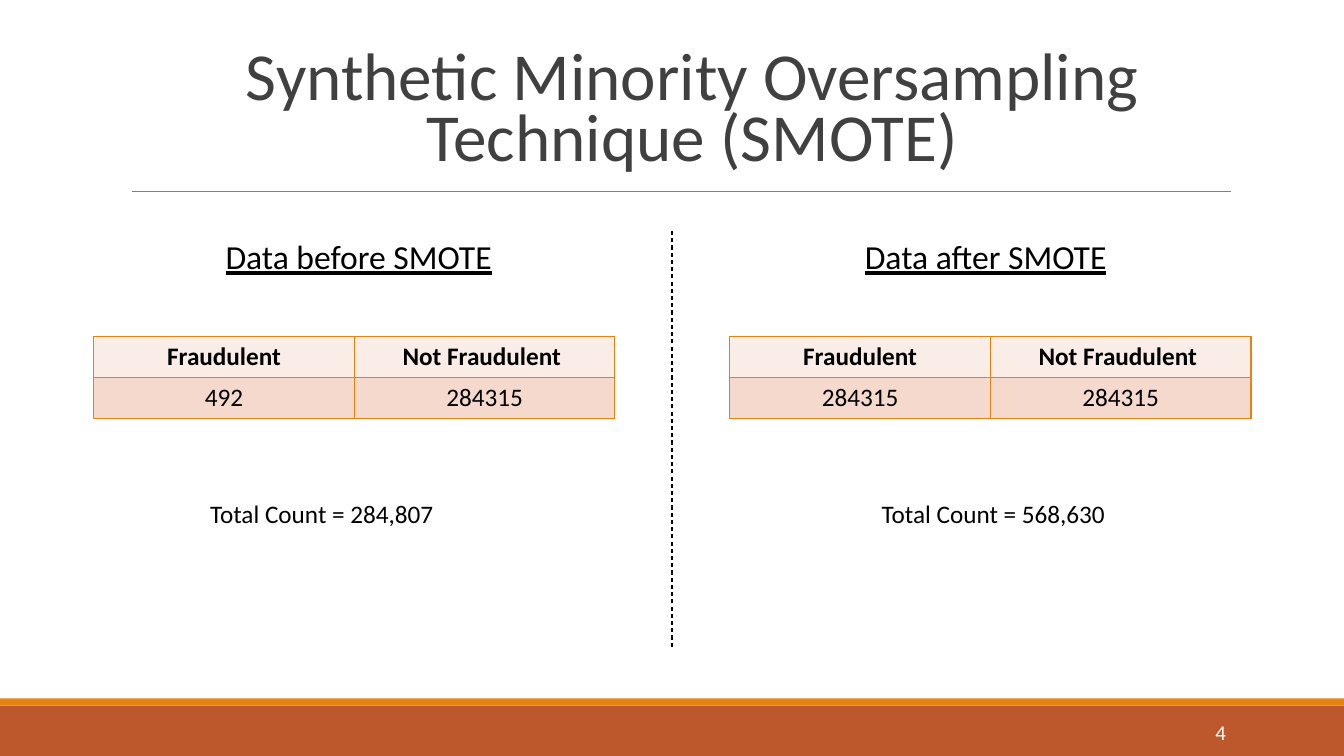
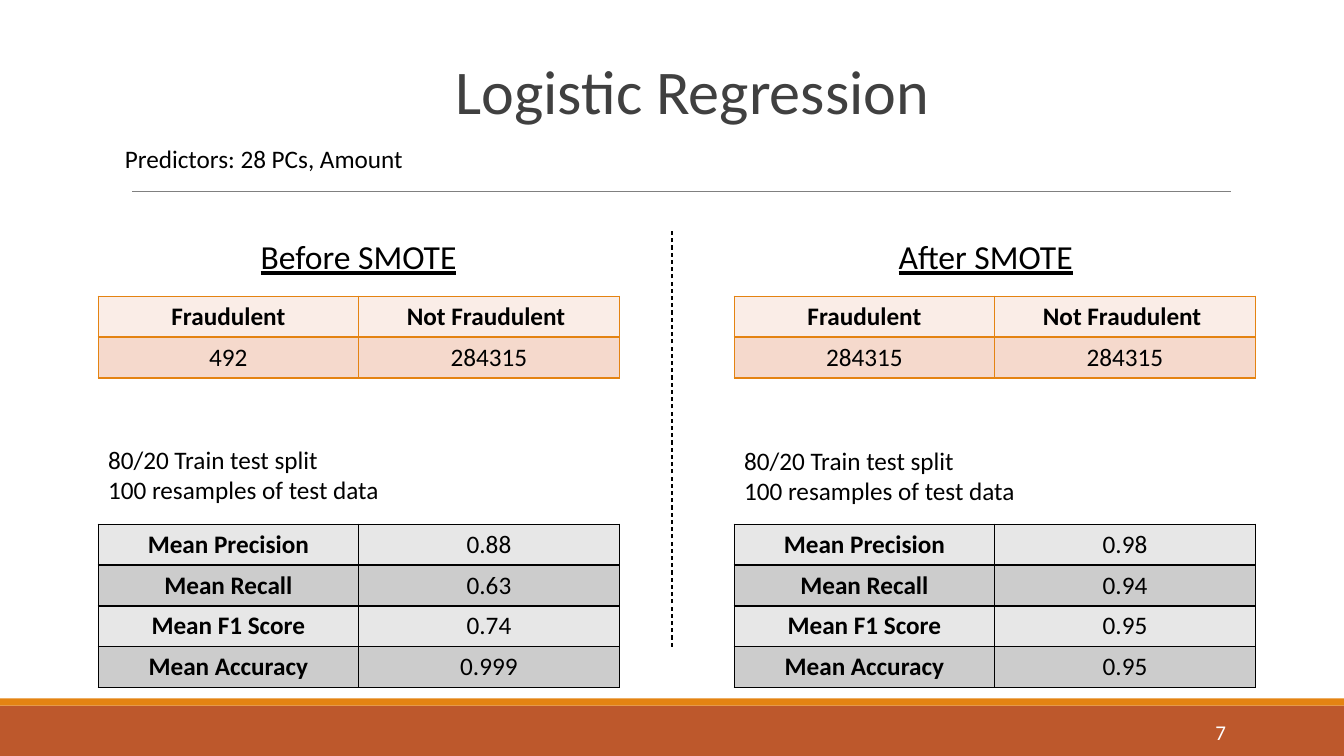
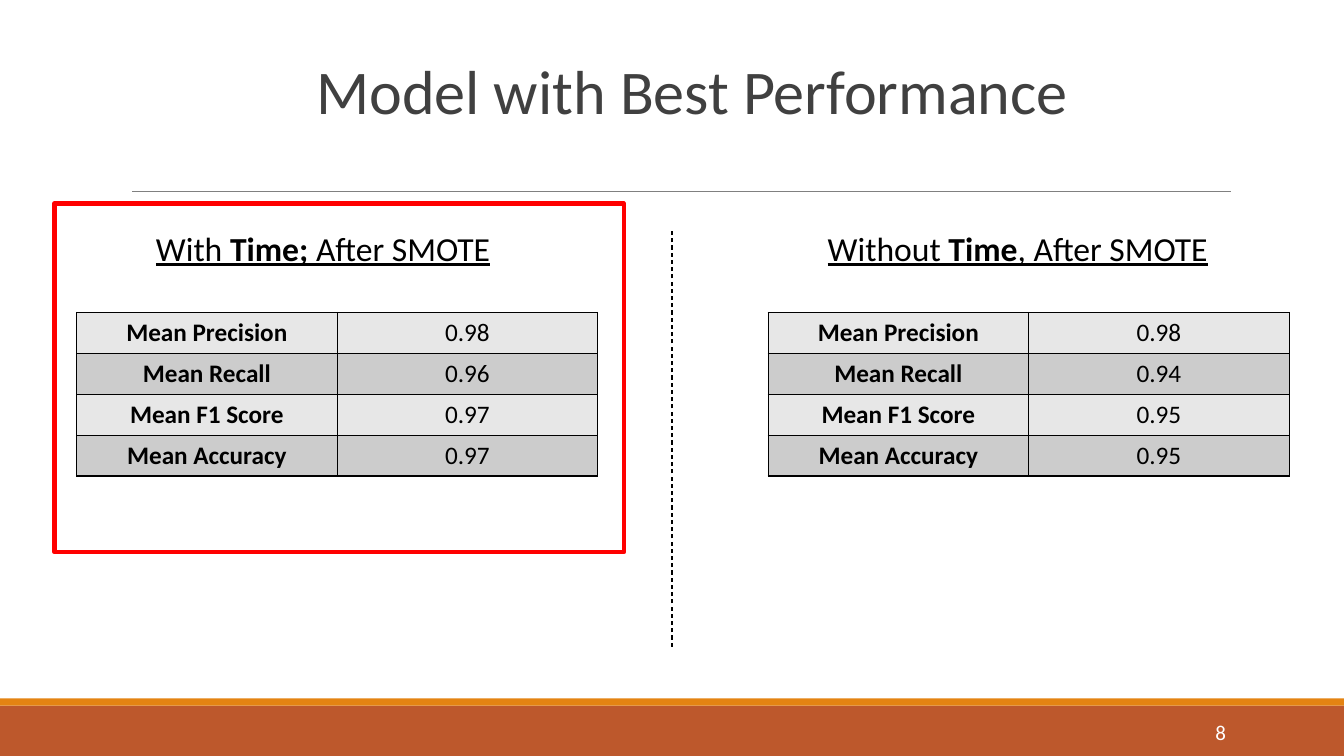
from lxml.etree import SubElement as Sub
from pptx import Presentation
from pptx.dml.color import RGBColor as Rgb
from pptx.enum.dml import MSO_LINE as Dash
from pptx.enum.shapes import MSO_CONNECTOR as Link, MSO_SHAPE as Form
from pptx.enum.text import MSO_ANCHOR as Anchor, MSO_AUTO_SIZE as Fit, PP_ALIGN as Align
from pptx.oxml.ns import qn
from pptx.util import Inches, Pt

COLS, ROWS = 160, 90
FONT = "Calibri"
HUES = {
    "rust": "BD582C", "amber": "E48312", "rule": "808080", "title": "404040",
    "black": "000000", "white": "FFFFFF", "red": "FF0000",
    "blush": "FAEDE7", "peach": "F5D9CC", "light": "E7E7E7", "gray": "CCCCCC",
}
GAP = 75.72
CELL_W, CELL_H = 31.02, 4.86
NAMES = ["Mean Precision", "Mean Recall", "Mean F1 Score", "Mean Accuracy"]


def hue(name):
    return Rgb.from_string(HUES[name])


def put(frame, text, size=18, color="black", bold=False, under=False,
        align=Align.LEFT, anchor=Anchor.TOP, space=None):
    frame.word_wrap = True
    frame.auto_size = Fit.NONE
    frame.vertical_anchor = anchor
    write(frame, text, size, color, bold, under, align, space)


def write(frame, text, size=18, color="black", bold=False, under=False,
          align=Align.LEFT, space=None):
    for row, line in enumerate(text.split("\n")):
        para = frame.add_paragraph() if row else frame.paragraphs[0]
        para.alignment = align
        para.line_spacing = space
        for part, piece in enumerate(line.split("*")):
            run = para.add_run()
            run.text = piece
            font = run.font
            font.name, font.size = FONT, Pt(size)
            font.bold = bold or part % 2 == 1
            font.underline = under
            font.color.rgb = hue(color)


class Deck:
    def __init__(self):
        self.file = Presentation()
        self.file.slide_width = Inches(13.33)
        self.file.slide_height = Inches(7.5)
        self.slide = None

    def x(self, cols):
        return int(self.file.slide_width * cols / COLS)

    def y(self, rows):
        return int(self.file.slide_height * rows / ROWS)

    def area(self, left, top, width, height):
        return self.x(left), self.y(top), self.x(width), self.y(height)

    def page(self, number, title, top=7.08, height=8.52, size=44.4):
        self.slide = self.file.slides.add_slide(self.file.slide_layouts[5])
        self.rect(0, 84, COLS, 6, fill="rust")
        self.rect(0, 83.16, COLS, 0.84, fill="amber")
        self.line(15.72, 22.8, 146.52, 22.8, "rule", 0.5)
        self.text(130, 84.72, 17.12, 4.8, number, size=15, color="white",
                  align=Align.RIGHT, anchor=Anchor.MIDDLE)
        head = self.slide.shapes.title
        head.left, head.top, head.width, head.height = self.area(16.44, top, 132, height)
        put(head.text_frame, title, size=size, color="title",
            align=Align.CENTER, anchor=Anchor.BOTTOM, space=0.75)
        self.line(80, 77, 80, 27.5, "black", 0.75, Dash.DASH)

    def rect(self, left, top, width, height, fill=None, edge=None, weight=3):
        box = self.slide.shapes.add_shape(Form.RECTANGLE, *self.area(left, top, width, height))
        box.shadow.inherit = False
        if fill:
            box.fill.solid()
            box.fill.fore_color.rgb = hue(fill)
        else:
            box.fill.background()
        if edge:
            box.line.color.rgb = hue(edge)
            box.line.width = Pt(weight)
        else:
            box.line.fill.background()

    def line(self, left, top, right, end, color, weight, dash=None):
        link = self.slide.shapes.add_connector(
            Link.STRAIGHT, self.x(left), self.y(top), self.x(right), self.y(end))
        link.line.color.rgb = hue(color)
        link.line.width = Pt(weight)
        if dash:
            link.line.dash_style = dash
        Sub(link._element.spPr, qn("a:effectLst"))

    def text(self, left, top, width, height, words, **style):
        box = self.slide.shapes.add_textbox(*self.area(left, top, width, height))
        put(box.text_frame, words, **style)

    def head(self, left, top, width, words):
        self.text(left, top, width, 6, words, size=24, under=True, align=Align.CENTER)

    def table(self, left, top, data, fills, edge, strong):
        count, wide = len(data), len(data[0])
        grid = self.slide.shapes.add_table(
            count, wide, *self.area(left, top, CELL_W * wide, CELL_H * count)).table
        grid.first_row = grid.horz_banding = False
        for col in grid.columns:
            col.width = self.x(CELL_W)
        for i, row in enumerate(data):
            grid.rows[i].height = self.y(CELL_H)
            for j, words in enumerate(row):
                cell = grid.cell(i, j)
                write(cell.text_frame, words, bold=strong(i, j), align=Align.CENTER)
                self.edge(cell, edge)
                cell.fill.solid()
                cell.fill.fore_color.rgb = hue(fills[i % 2])

    def edge(self, cell, color):
        props = cell._tc.get_or_add_tcPr()
        for side in "LRTB":
            line = Sub(props, qn(f"a:ln{side}"), w=str(Pt(1)))
            Sub(Sub(line, qn("a:solidFill")), qn("a:srgbClr"), val=HUES[color])

    def counts(self, left, top, fraud):
        data = [["Fraudulent", "Not Fraudulent "], [fraud, "284315"]]
        self.table(left, top, data, ["blush", "peach"], "amber", lambda i, j: i == 0)

    def scores(self, left, top, values):
        data = list(zip(NAMES, values))
        self.table(left, top, data, ["light", "gray"], "black", lambda i, j: j == 0)


def main():
    deck = Deck()

    deck.page("4", "Synthetic Minority Oversampling Technique (SMOTE)", 4.56, 16.68, 48)
    sides = [("before", "492", "284,807", 18.3), ("after", "284315", "568,630", 98.25)]
    for i, (when, fraud, total, left) in enumerate(sides):
        deck.head(19.1 + 74.64 * i, 27.5, 47.2, f"Data {when} SMOTE")
        deck.counts(11.16 + GAP * i, 40.1, fraud)
        deck.text(left, 58.68, 40, 4.8, f"Total Count = {total}", align=Align.CENTER)

    deck.page("7", "Logistic Regression")
    deck.text(13.68, 16.44, 80, 4.8, "Predictors: 28 PCs, Amount")
    sides = [("Before", "492", ["0.88", "0.63", "0.74", "0.999"]),
             ("After", "284315", ["0.98", "0.94", "0.95", "0.95"])]
    for i, (when, fraud, values) in enumerate(sides):
        left = 11.68 + GAP * i
        deck.head(19.1 + 74.64 * i, 27.5, 47.2, f"{when} SMOTE")
        deck.counts(left, 35.26, fraud)
        deck.text(left, 52.3 + 0.14 * i, 35.9, 8.5,
                  "80/20 Train test split\n100 resamples of test data")
        deck.scores(left, 62.4, values)

    deck.page("8", "Model with Best Performance")
    sides = [("With *Time; *After SMOTE", 9.96, 57, 9.12, ["0.98", "0.96", "0.97", "0.97"]),
             ("Without *Time*, After SMOTE", 95.16, 52, 91.44, ["0.98", "0.94", "0.95", "0.95"])]
    for words, start, width, left, values in sides:
        deck.head(start, 26.5, width, words)
        deck.scores(left, 37.2, values)
    deck.rect(6.48, 24.24, 67.8, 41.52, edge="red")

    deck.file.save("out.pptx")


if __name__ == "__main__":
    main()
